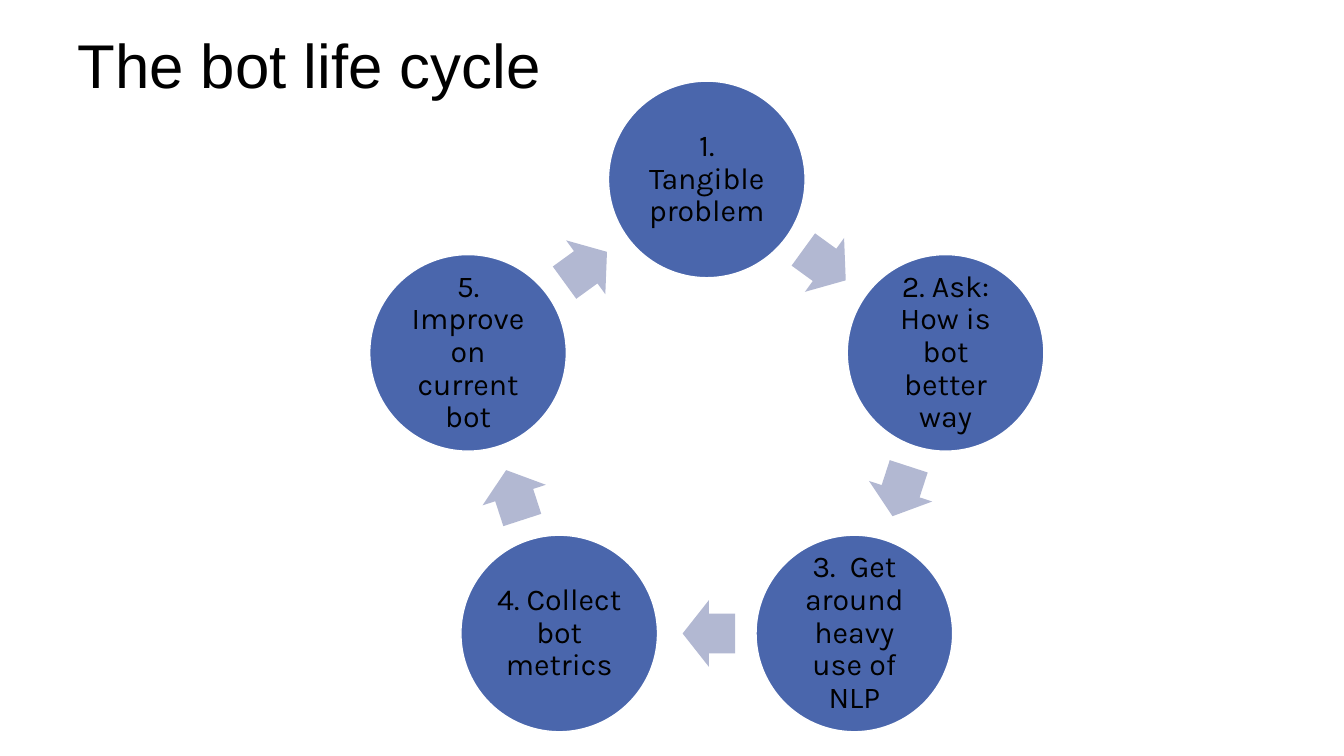
"""Build the bot life cycle slide."""
from math import cos, radians, sin

from pptx import Presentation
from pptx.dml.color import RGBColor
from pptx.enum import shapes as kinds, text as txt
from pptx.util import Inches, Pt

BLACK = RGBColor(0x00, 0x00, 0x00)
WHITE = RGBColor(0xFF, 0xFF, 0xFF)
BLUE = RGBColor(0x4A, 0x66, 0xAC)
PALE = RGBColor(0xB2, 0xB8, 0xD2)

MID_X, MID_Y, RADIUS = 7.01, 4.27, 2.49
DISC, LONG, TALL, BACK = 1.95, 0.52, 0.66, 0.02
STEPS = (
    "1. Tangible problem",
    "2. Ask: How is bot better way",
    "3.  Get around heavy use of NLP",
    "4. Collect bot metrics",
    "5. Improve on current bot",
)


def put(item, values):
    """Set each named attribute of an item."""
    for name, value in values.items():
        setattr(item, name, value)


def write(shape, words, face, size, align, anchor, pads):
    """Fill a shape with one formatted paragraph."""
    frame = shape.text_frame
    sides = ("left", "top", "right", "bottom")
    put(frame, {f"margin_{side}": Inches(pad) for side, pad in zip(sides, pads)})
    put(frame, {"word_wrap": True, "vertical_anchor": anchor})
    para = frame.paragraphs[0]
    run = para.add_run()
    run.text = words
    put(para, {"alignment": align, "line_spacing": 0.9})
    put(run.font, {"name": face, "size": Pt(size)})
    run.font.color.rgb = BLACK


def shape_at(slide, kind, x, y, wide, high, fill):
    """Add a filled shape centred on a point."""
    shape = slide.shapes.add_shape(
        kind, Inches(x - wide / 2), Inches(y - high / 2), Inches(wide), Inches(high)
    )
    shape.shadow.inherit = False
    shape.fill.solid()
    shape.fill.fore_color.rgb = fill
    shape.line.fill.background()
    return shape


def add_title(slide, words):
    """Add the slide title."""
    box = slide.shapes.add_textbox(
        Inches(0.67), Inches(0.26), Inches(11.88), Inches(1.45)
    )
    write(box, words, "Arial", 44.1, txt.PP_ALIGN.LEFT,
          txt.MSO_ANCHOR.TOP, (0.1, 0.09, 0.1, 0.05))


def add_step(slide, words, turn):
    """Add a labelled disc on the ring."""
    x = MID_X + RADIUS * sin(radians(turn))
    y = MID_Y - RADIUS * cos(radians(turn))
    disc = shape_at(slide, kinds.MSO_SHAPE.OVAL, x, y, DISC, DISC, BLUE)
    disc.line.color.rgb = WHITE
    disc.line.width = Pt(1)
    write(disc, words, "Karla", 21.6, txt.PP_ALIGN.CENTER,
          txt.MSO_ANCHOR.MIDDLE, (0.03,) * 4)


def add_arrow(slide, turn, gap):
    """Add a block arrow between two neighbouring discs."""
    far, way = RADIUS * cos(radians(gap / 2)), radians(turn)
    x = MID_X + far * sin(way) - BACK * cos(way)
    y = MID_Y - far * cos(way) - BACK * sin(way)
    arrow = shape_at(slide, kinds.MSO_SHAPE.RIGHT_ARROW, x, y, LONG, TALL, PALE)
    arrow.adjustments[0] = 0.6
    arrow.adjustments[1] = 0.5
    arrow.rotation = turn


def main():
    """Create and save the slide."""
    deck = Presentation()
    put(deck, {"slide_width": Inches(13.33), "slide_height": Inches(7.5)})
    slide = deck.slides.add_slide(deck.slide_layouts[6])
    add_title(slide, "The bot life cycle")
    gap = 360 / len(STEPS)
    for i, words in enumerate(STEPS):
        add_step(slide, words, i * gap)
        add_arrow(slide, (i + 0.5) * gap, gap)
    deck.save("out.pptx")


if __name__ == "__main__":
    main()
